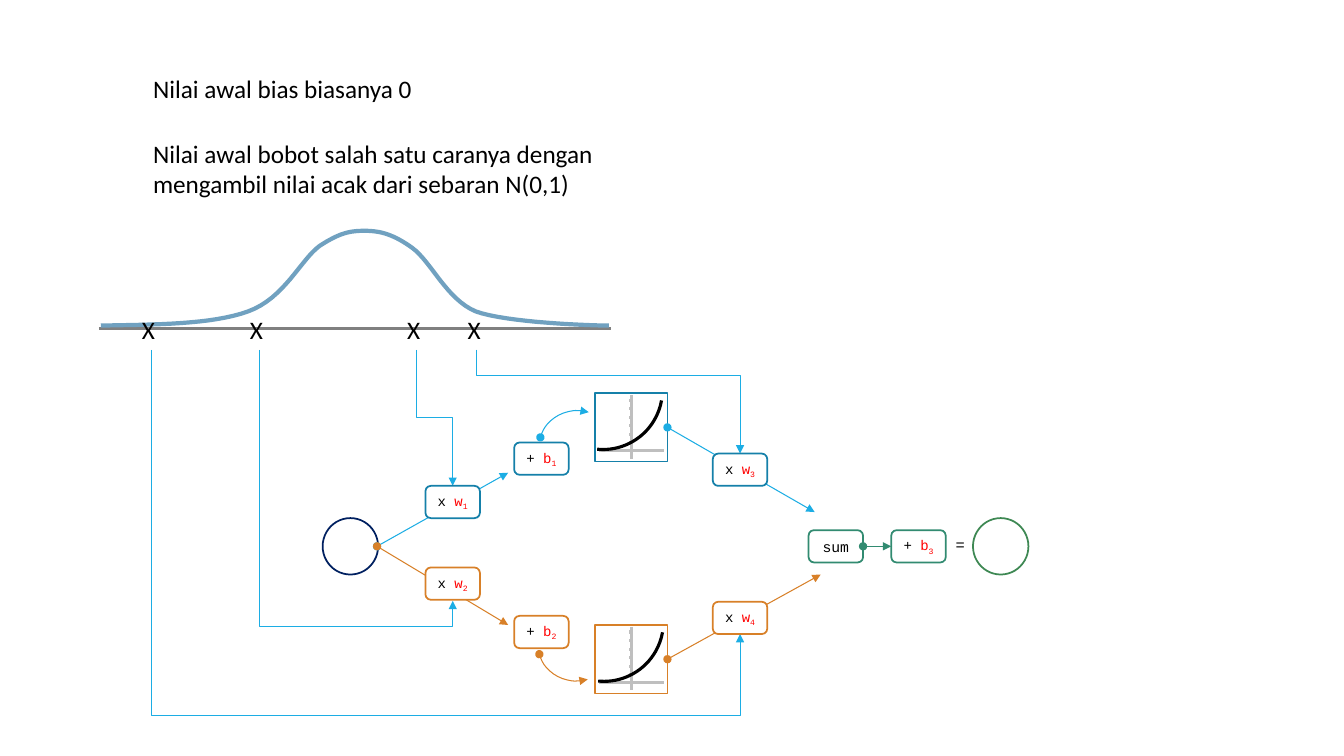
from dataclasses import dataclass
from typing import Optional

from lxml.etree import SubElement
from pptx import Presentation
from pptx.dml.color import RGBColor
from pptx.enum.shapes import MSO_CONNECTOR, MSO_SHAPE
from pptx.enum.text import MSO_ANCHOR, MSO_AUTO_SIZE, PP_ALIGN
from pptx.oxml.ns import qn
from pptx.util import Inches, Pt

BLACK, WHITE, RED, GREY = "000000", "FFFFFF", "FF0000", "BFBFBF"
BLUE, DARK_BLUE, ORANGE, GREEN = "1CADE4", "1580A9", "D88028", "328B71"
PANEL_LEFT, PANEL_W, PANEL_H = 5.9, 0.72, 0.68
PANEL_TOPS = {3.9: DARK_BLUE, 6.2: ORANGE}
BOX_W, BOX_H = 0.54, 0.32


@dataclass
class Label:
    x: float
    y: float
    w: float
    h: float
    text: str
    size: float = 18
    font: str = "Calibri"


@dataclass
class Box:
    x: float
    y: float
    sign: str
    name: str
    index: str
    color: str


@dataclass
class Link:
    x1: float
    y1: float
    x2: float
    y2: float
    color: str
    head: Optional[str] = "oval"
    bend: Optional[float] = None


@dataclass
class Jump:
    x: float
    y: float
    rotation: float
    color: str
    flipped: bool


LABELS = [
    Label(1.42, 0.68, 4.73, 0.4, "Nilai awal bias biasanya 0"),
    Label(1.42, 1.32, 4.73, 0.71,
          "Nilai awal bobot salah satu caranya dengan mengambil nilai acak dari sebaran N(0,1)"),
]
SAMPLES = [Label(x, 3.07, 0.38, 0.4, "X") for x in (2.38, 4.54, 3.94, 1.31)]
EQUALS = Label(9.38, 5.26, 0.28, 0.29, "=", 11, "Courier New")
SAMPLE_LINKS = [
    Link(1.5, 3.47, 7.34, 6.29, BLUE, None, 1.287),
    Link(2.57, 3.47, 4.49, 5.96, BLUE, None, 1.101),
    Link(4.13, 3.47, 4.49, 4.82, BLUE, None, 0.5),
    Link(4.73, 3.47, 7.34, 4.5, BLUE, None, 0.251),
]
NODE_LINKS = [
    Link(3.74, 5.42, 5.04, 4.69, BLUE),
    Link(3.74, 5.42, 5.04, 6.2, ORANGE),
    Link(6.62, 4.24, 8.08, 5.08, BLUE),
    Link(6.62, 6.54, 8.14, 5.7, ORANGE),
]
SUM_LINK = Link(8.56, 5.42, 8.84, 5.42, GREEN)
BOXES = [
    Box(8.02, 5.26, "sum", "", "", GREEN),
    Box(8.84, 5.26, "+ ", "b", "3", GREEN),
    Box(4.22, 4.82, "x ", "w", "1", DARK_BLUE),
    Box(5.1, 4.39, "+ ", "b", "1", DARK_BLUE),
    Box(4.22, 5.63, "x ", "w", "2", ORANGE),
    Box(5.1, 6.11, "+ ", "b", "2", ORANGE),
    Box(7.07, 5.97, "x ", "w", "4", ORANGE),
    Box(7.07, 4.5, "x ", "w", "3", DARK_BLUE),
]
JUMPS = [Jump(5.37, 4.05, 285.6, BLUE, False), Jump(5.36, 5.99, 74.4, ORANGE, True)]
BELL_START = (1, 3.23)
BELL_CURVES = [
    ((1.54, 3.22), (2.1, 3.22), (2.46, 3.09)),
    ((2.82, 2.96), (2.98, 2.58), (3.17, 2.44)),
    ((3.37, 2.31), (3.47, 2.29), (3.62, 2.29)),
    ((3.78, 2.29), (3.91, 2.33), (4.09, 2.46)),
    ((4.28, 2.6), (4.43, 2.97), (4.72, 3.09)),
    ((5.02, 3.2), (5.85, 3.23), (6.04, 3.23)),
]


def rgb(color: str) -> RGBColor:
    return RGBColor.from_string(color)


def add_run(p, text: str, *, size: float, font: str, color: str = BLACK,
            subscript: bool = False) -> None:
    r = p.add_run()
    r.text = text
    r.font.size = Pt(size)
    r.font.name = font
    r.font.color.rgb = rgb(color)
    if subscript:
        r._r.get_or_add_rPr().set("baseline", "-25000")


def style_line(sp, color: str, width: float, head: Optional[str] = None,
               tail: Optional[str] = None) -> None:
    sp.line.color.rgb = rgb(color)
    sp.line.width = Pt(width)
    for tag, kind in (("a:headEnd", head), ("a:tailEnd", tail)):
        if kind:
            SubElement(sp.line._get_or_add_ln(), qn(tag)).set("type", kind)


def add_label(shapes, label: Label) -> None:
    tb = shapes.add_textbox(Inches(label.x), Inches(label.y), Inches(label.w), Inches(label.h))
    tf = tb.text_frame
    tf.word_wrap = True
    tf.auto_size = MSO_AUTO_SIZE.SHAPE_TO_FIT_TEXT
    add_run(tf.paragraphs[0], label.text, size=label.size, font=label.font)


def add_outline(shapes, kind, x: float, y: float, w: float, h: float, color: str,
                width: float = 1.25, filled: bool = True, **ends):
    sp = shapes.add_shape(kind, Inches(x), Inches(y), Inches(w), Inches(h))
    sp.shadow.inherit = False
    if filled:
        sp.fill.solid()
        sp.fill.fore_color.rgb = rgb(WHITE)
    else:
        sp.fill.background()
    style_line(sp, color, width, **ends)
    return sp


def add_line(shapes, x1: float, y1: float, x2: float, y2: float, color: str, width: float,
             kind=MSO_CONNECTOR.STRAIGHT, **ends):
    cxn = shapes.add_connector(kind, Inches(x1), Inches(y1), Inches(x2), Inches(y2))
    style_line(cxn, color, width, **ends)
    SubElement(cxn._element.spPr, qn("a:effectLst"))
    return cxn


def add_link(shapes, link: Link) -> None:
    ends = dict(head=link.head, tail="triangle")
    if link.bend is None:
        add_line(shapes, link.x1, link.y1, link.x2, link.y2, link.color, 0.75, **ends)
        return
    cx, cy = (link.x1 + link.x2) / 2, (link.y1 + link.y2) / 2
    half_w, half_h = (link.y2 - link.y1) / 2, (link.x2 - link.x1) / 2
    cxn = add_line(shapes, cx + half_w, cy - half_h, cx - half_w, cy + half_h,
                   link.color, 0.75, MSO_CONNECTOR.ELBOW, **ends)
    spPr = cxn._element.spPr
    spPr.find(qn("a:xfrm")).set("rot", str(270 * 60000))
    gd = SubElement(spPr.find(qn("a:prstGeom")).find(qn("a:avLst")), qn("a:gd"))
    gd.set("name", "adj1")
    gd.set("fmla", f"val {round(link.bend * 100000)}")


def add_box(shapes, box: Box) -> None:
    sp = add_outline(shapes, MSO_SHAPE.ROUNDED_RECTANGLE, box.x, box.y, BOX_W, BOX_H, box.color)
    tf = sp.text_frame
    tf.vertical_anchor = MSO_ANCHOR.MIDDLE
    p = tf.paragraphs[0]
    p.alignment = PP_ALIGN.CENTER
    size = 10 if box.name else 10.5
    add_run(p, box.sign, size=size, font="Courier New")
    if box.name:
        add_run(p, box.name, size=size, font="Courier New", color=RED)
        add_run(p, box.index, size=size, font="Courier New", color=RED, subscript=True)


def add_jump(shapes, jump: Jump) -> None:
    sp = add_outline(shapes, MSO_SHAPE.ARC, jump.x, jump.y, 0.74, 0.79, jump.color, 0.75,
                     filled=False, head="oval", tail="triangle")
    sp.rotation = jump.rotation
    if jump.flipped:
        sp._element.spPr.find(qn("a:xfrm")).set("flipV", "1")


def add_bell(shapes, steps: int = 16) -> None:
    points, start = [], BELL_START
    for c1, c2, end in BELL_CURVES:
        for t in (i / steps for i in range(1, steps + 1)):
            u = 1 - t
            points.append(tuple(
                Inches(u**3 * a + 3 * u * u * t * b + 3 * u * t * t * c + t**3 * d)
                for a, b, c, d in zip(start, c1, c2, end)))
        start = end
    fb = shapes.build_freeform(Inches(BELL_START[0]), Inches(BELL_START[1]))
    fb.add_line_segments(points, close=False)
    sp = fb.convert_to_shape()
    sp.shadow.inherit = False
    sp.fill.background()
    style_line(sp, "70A1C0", 3)


def add_axes(shapes, top: float) -> None:
    group = shapes.add_group_shape().shapes
    axis_x, axis_y = 6.26, top + 0.57
    lines = [(5.94, axis_y, 6.59, axis_y), (axis_x, top + 0.02, axis_x, top + 0.65)]
    lines += [(x, axis_y - 0.01, x, axis_y + 0.01) for x in (6.32, 6.41, 6.49, 6.03, 6.13, 6.21)]
    for i in range(6):
        y = top + 0.07 + 0.085 * i
        lines.append((axis_x, y, axis_x - 0.02, y))
    for line in lines:
        add_line(group, *line, GREY, 2.25)


def add_activation(shapes, x: float, y: float) -> None:
    sp = add_outline(shapes, MSO_SHAPE.ARC, x, y, 1.18, 1.18, BLACK, 2.25, filled=False)
    sp.rotation = 90
    sp.adjustments[0], sp.adjustments[1] = 168.051, 3.314


def main() -> None:
    prs = Presentation()
    prs.slide_width, prs.slide_height = Inches(13.33), Inches(7.5)
    s = prs.slides.add_slide(prs.slide_layouts[6]).shapes
    for label in LABELS:
        add_label(s, label)
    add_line(s, 0.98, 3.26, 6.06, 3.26, "808080", 2.25)
    add_bell(s)
    for label in SAMPLES:
        add_label(s, label)
    for link in SAMPLE_LINKS:
        add_link(s, link)
    for x, color in ((3.2, "002060"), (9.65, "3E8853")):
        add_outline(s, MSO_SHAPE.OVAL, x, 5.14, 0.55, 0.56, color)
    for top, color in PANEL_TOPS.items():
        add_outline(s, MSO_SHAPE.RECTANGLE, PANEL_LEFT, top, PANEL_W, PANEL_H, color)
    for link in NODE_LINKS:
        add_link(s, link)
    for box in BOXES:
        add_box(s, box)
    add_link(s, SUM_LINK)
    for jump in JUMPS:
        add_jump(s, jump)
    for top in PANEL_TOPS:
        add_axes(s, top)
    add_label(s, EQUALS)
    for x, y in ((5.39, 3.28), (5.4, 5.58)):
        add_activation(s, x, y)
    prs.save("out.pptx")


if __name__ == "__main__":
    main()
